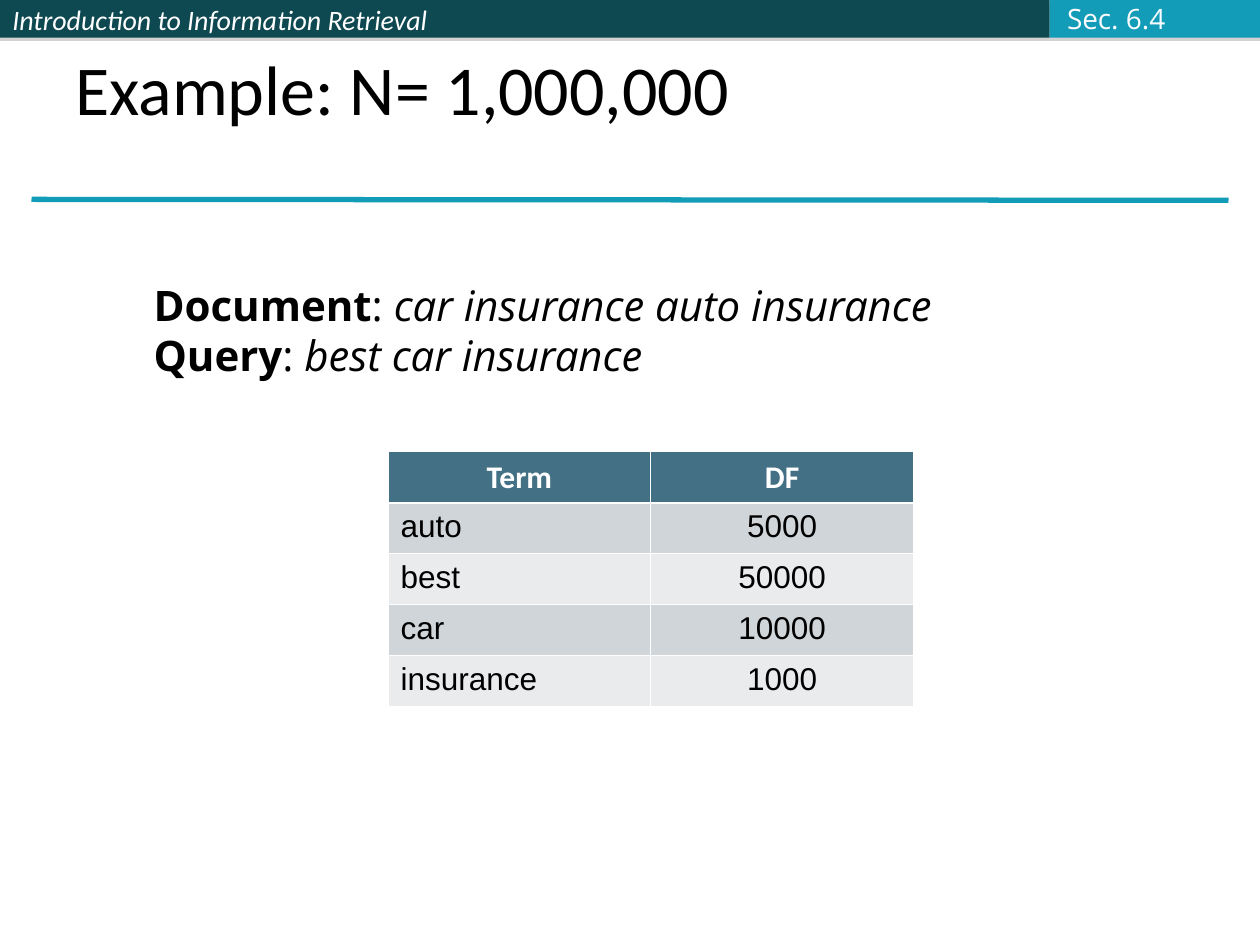
"""Build the term and document frequency example slide."""
from dataclasses import dataclass

from lxml.etree import SubElement as Sub
from pptx import Presentation
from pptx.dml.color import RGBColor as RGB
from pptx.enum.shapes import MSO_CONNECTOR as CONN, MSO_SHAPE as SHAPE
from pptx.enum.text import MSO_ANCHOR as ANCHOR, MSO_AUTO_SIZE as AUTO, PP_ALIGN as ALIGN
from pptx.oxml.ns import qn
from pptx.util import Inches, Pt

W, H = Inches(10), Inches(7.5)
COLORS = {
    "dark": "0E4851", "accent": "139CB7", "shadow": "808080", "white": "FFFFFF",
    "label": "FBFCFF", "black": "000000", "head": "437085", "odd": "CFD5D9", "even": "E9EBED",
}


@dataclass(frozen=True)
class Box:
    """Left, top, width and height as shares of the slide."""
    x: float
    y: float
    w: float
    h: float

    def emu(self) -> tuple[int, int, int, int]:
        return int(self.x * W), int(self.y * H), int(self.w * W), int(self.h * H)


@dataclass(frozen=True)
class Style:
    size: float
    font: str
    color: str = "black"
    bold: bool = False
    italic: bool = False


@dataclass(frozen=True)
class Band:
    left: float
    right: float
    color: str
    text: str = ""


@dataclass(frozen=True)
class Label:
    box: Box
    lines: tuple[str, ...]
    style: Style
    anchor: ANCHOR = ANCHOR.TOP
    wrap: bool = False


BANDS = (
    Band(0, 0.408, "dark", "Introduction to Information Retrieval"),
    Band(0.408, 0.833, "dark"),
    Band(0.833, 1, "accent"),
)
LABELS = (
    Label(Box(0.05, 0.04, 0.9, 0.104), ("Example: N= 1,000,000",),
          Style(40, "Calibri"), ANCHOR.BOTTOM, True),
    Label(Box(0.837, -0.005, 0.098, 0.049), ("Sec. 6.4",),
          Style(16, "Open Sans", "label"), ANCHOR.MIDDLE),
)
EXAMPLE_BOX = Box(0.112, 0.289, 0.642, 0.12)
EXAMPLES = (("Document", "car insurance auto insurance"), ("Query", "best car insurance"))
TABLE_BOX = Box(0.308, 0.478, 0.417, 0.27)
ROWS = (("Term", "DF"), ("auto", "5000"), ("best", "50000"), ("car", "10000"), ("insurance", "1000"))


def rgb(name: str) -> RGB:
    return RGB.from_string(COLORS[name])


def format_run(r, style: Style) -> None:
    f = r.font
    f.size, f.name, f.bold, f.italic = Pt(style.size), style.font, style.bold, style.italic
    f.color.rgb = rgb(style.color)


def add_shadow(sp) -> None:
    effects = sp._element.spPr.find(qn("a:effectLst"))
    shadow = Sub(effects, qn("a:outerShdw"), blurRad="0", dist=str(Pt(1.8)),
                 dir="5400000", algn="ctr", rotWithShape="0")
    color = Sub(shadow, qn("a:srgbClr"), val=COLORS["shadow"])
    Sub(color, qn("a:alpha"), val="35000")


def add_band(s, band: Band) -> None:
    box = Box(band.left, 0, band.right - band.left, 0.04)
    sp = s.shapes.add_shape(SHAPE.RECTANGLE, *box.emu())
    sp.shadow.inherit = False
    add_shadow(sp)
    sp.fill.solid()
    sp.fill.fore_color.rgb = rgb(band.color)
    sp.line.fill.background()
    if band.text:
        tf = sp.text_frame
        tf.text, tf.vertical_anchor = band.text, ANCHOR.MIDDLE
        p = tf.paragraphs[0]
        p.alignment = ALIGN.LEFT
        format_run(p.runs[0], Style(16, "Calibri", "white", italic=True))


def add_rule(s) -> None:
    line = s.shapes.add_connector(CONN.STRAIGHT, int(0.025 * W), int(0.211 * H),
                                  int(0.975 * W), int(0.212 * H))
    line.line.color.rgb, line.line.width = rgb("accent"), Pt(3)
    Sub(line._element.spPr, qn("a:effectLst"))


def add_label(s, label: Label):
    tf = s.shapes.add_textbox(*label.box.emu()).text_frame
    tf.text = "\n".join(label.lines)
    tf.word_wrap, tf.vertical_anchor = label.wrap, label.anchor
    tf.auto_size = AUTO.NONE if label.wrap else AUTO.SHAPE_TO_FIT_TEXT
    for p in tf.paragraphs:
        for r in p.runs:
            format_run(r, label.style)
    return tf


def add_examples(s) -> None:
    names = tuple(name for name, _ in EXAMPLES)
    tf = add_label(s, Label(EXAMPLE_BOX, names, Style(24, "Open Sans", bold=True)))
    for p, (_, words) in zip(tf.paragraphs, EXAMPLES):
        for text, italic in ((": ", False), (words, True)):
            r = p.add_run()
            r.text = text
            format_run(r, Style(24, "Open Sans", italic=italic))


def set_borders(cell, top: float, bottom: float) -> None:
    tc_pr = cell._tc.get_or_add_tcPr()
    for i, (side, width) in enumerate((("L", 0.45), ("R", 0.45), ("T", top), ("B", bottom))):
        ln = Sub(tc_pr, qn(f"a:ln{side}"), w=str(Pt(width)))
        Sub(Sub(ln, qn("a:solidFill")), qn("a:srgbClr"), val=COLORS["white"])
        tc_pr.insert(i, ln)


def add_frequencies(s) -> None:
    table = s.shapes.add_table(len(ROWS), len(ROWS[0]), *TABLE_BOX.emu()).table
    for i, row in enumerate(ROWS):
        fill = "head" if i == 0 else "odd" if i % 2 else "even"
        style = Style(18, "Arial") if i else Style(18, "Calibri", "white", bold=True)
        for j, text in enumerate(row):
            cell = table.cell(i, j)
            cell.text = text
            cell.fill.solid()
            cell.fill.fore_color.rgb = rgb(fill)
            set_borders(cell, 1.47 if i == 1 else 0.45, 1.47 if i == 0 else 0.45)
            p = cell.text_frame.paragraphs[0]
            p.alignment = ALIGN.LEFT if i and j == 0 else ALIGN.CENTER
            format_run(p.runs[0], style)


def main() -> None:
    prs = Presentation()
    prs.slide_width, prs.slide_height = W, H
    s = prs.slides.add_slide(prs.slide_layouts[6])
    for band in BANDS:
        add_band(s, band)
    add_rule(s)
    for label in LABELS:
        add_label(s, label)
    add_examples(s)
    add_frequencies(s)
    prs.save("out.pptx")


if __name__ == "__main__":
    main()
